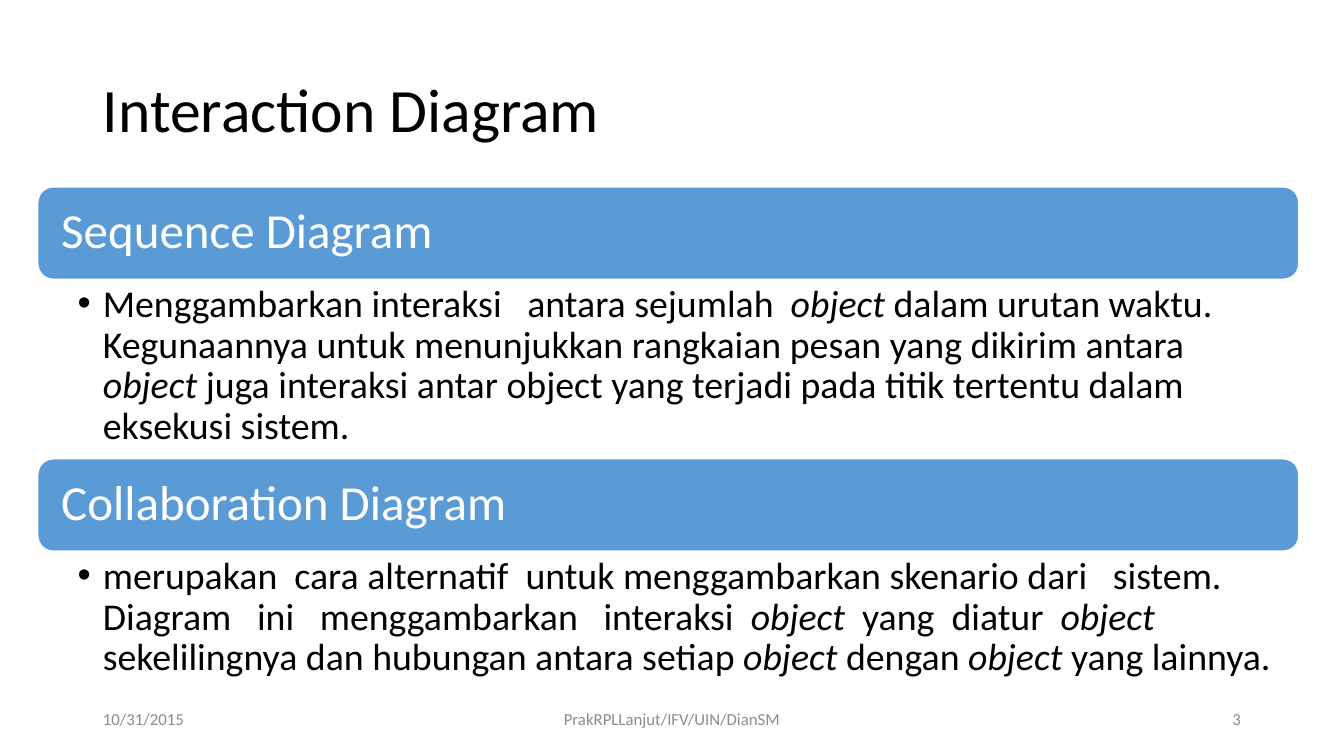
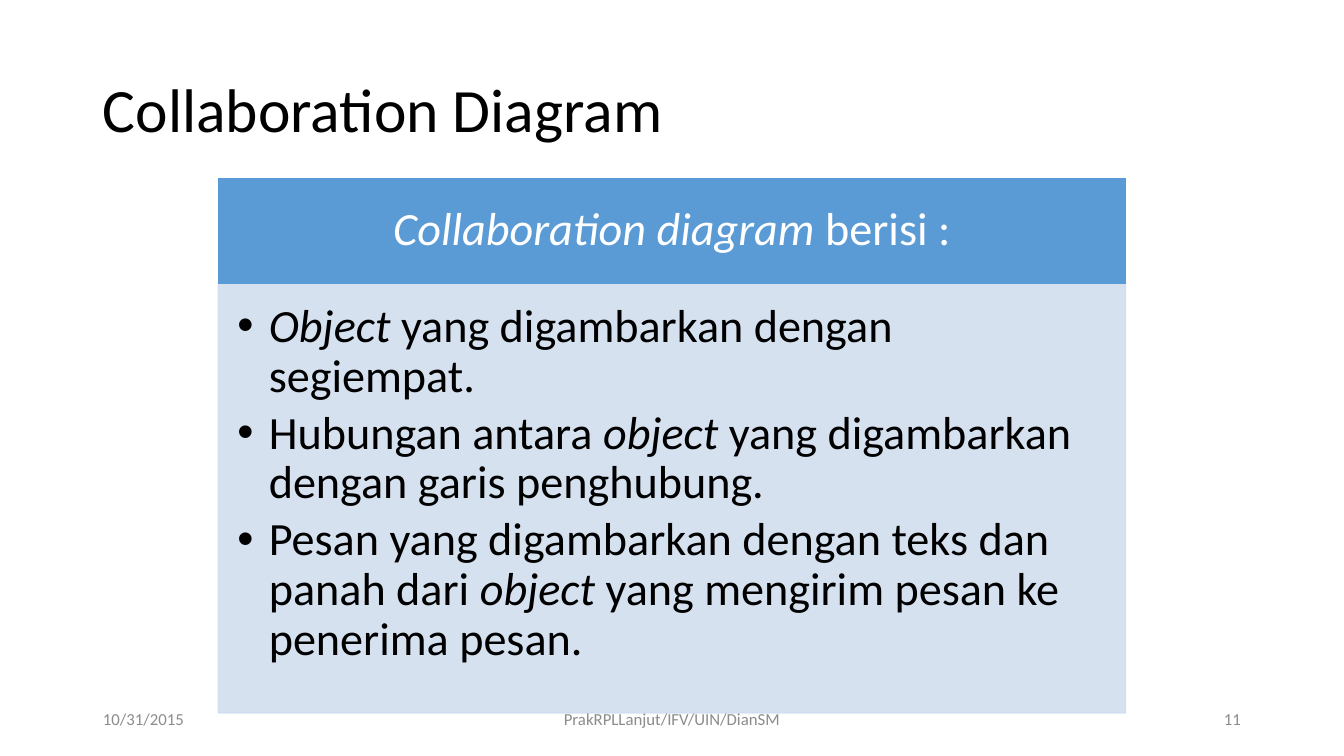
from dataclasses import dataclass

from lxml.etree import SubElement
from pptx import Presentation
from pptx.dml.color import RGBColor
from pptx.enum.shapes import MSO_SHAPE as Preset
from pptx.enum.text import MSO_ANCHOR as Anchor, MSO_AUTO_SIZE as AutoSize, PP_ALIGN as Align
from pptx.oxml.ns import qn
from pptx.util import Emu, Pt

EMU_PER_PX = 9525
BOX_NAMES = ("left", "top", "width", "height")
MARGIN_NAMES = ("margin_left", "margin_top", "margin_right", "margin_bottom")


@dataclass(frozen=True)
class Theme:
    font: str = "Calibri"
    bullet_font: str = "Arial"
    ink: str = "000000"
    paper: str = "FFFFFF"
    accent: str = "5B9BD5"
    tint: str = "D2DEEF"
    muted: str = "8C8C8C"
    tint_opacity: int = 90
    title_size: int = 44
    band_size: int = 35
    detail_size: int = 27
    panel_size: int = 33
    footer_size: int = 12
    line_spacing: float = 0.9


THEME = Theme()

TITLE_BOX = (88, 38, 1104, 139)
TEXT_MARGINS = (10, 5, 10, 5)
FOOTER_TOP, FOOTER_HEIGHT = 667, 38
FOOTER_SLOTS = ((88, 288, Align.LEFT), (424, 432, Align.CENTER), (904, 288, Align.RIGHT))
FOOTER_DATE = "10/31/2015"
FOOTER_SOURCE = "PrakRPLLanjut/IFV/UIN/DianSM"

BAND_LEFT, BAND_TOP, BAND_WIDTH, BAND_HEIGHT = 36, 178, 1201, 88
PANEL_LEFT, PANEL_TOP, PANEL_WIDTH = 208, 170, 864
PANEL_HEADER_HEIGHT, PANEL_BODY_HEIGHT = 100, 409

INTERACTIONS = (
    (
        "Sequence Diagram",
        171,
        "Menggambarkan interaksi   antara sejumlah  *object *dalam urutan waktu. "
        "Kegunaannya untuk menunjukkan rangkaian pesan yang dikirim antara *object *"
        "juga interaksi antar object yang terjadi pada titik tertentu dalam eksekusi sistem.",
    ),
    (
        "Collaboration Diagram",
        130,
        "merupakan  cara alternatif  untuk menggambarkan skenario dari   sistem.   "
        "Diagram   ini   menggambarkan   interaksi  *object  *yang  diatur  *object *"
        "sekelilingnya dan hubungan antara setiap *object *dengan *object *yang lainnya.",
    ),
)
COLLABORATION_PARTS = (
    "*Object *yang digambarkan dengan segiempat.",
    "Hubungan antara *object *yang digambarkan dengan garis penghubung.",
    "Pesan yang digambarkan dengan teks dan panah dari *object *"
    "yang mengirim pesan ke penerima pesan.",
)


def px(length):
    return Emu(length * EMU_PER_PX)


def color(value):
    return RGBColor.from_string(value)


def apply(target, values):
    for name, value in values.items():
        setattr(target, name, value)


def place(shape, box):
    apply(shape, dict(zip(BOX_NAMES, map(px, box))))


def paint(shape, fill, line, opacity=100):
    shape.fill.solid()
    shape.fill.fore_color.rgb = color(fill)
    shape.line.color.rgb = color(line)
    shape.line.width = Pt(1)
    if opacity < 100:
        for tone in shape._element.spPr.iter(qn("a:srgbClr")):
            SubElement(tone, qn("a:alpha"), val=str(opacity * 1000))


def add_bullet(paragraph, indent):
    properties = paragraph._p.get_or_add_pPr()
    properties.set("marL", str(px(indent)))
    properties.set("indent", str(-px(indent)))
    SubElement(properties, qn("a:buFont"), typeface=THEME.bullet_font)
    SubElement(properties, qn("a:buChar"), char="•")


def write(shape, texts, size, ink=THEME.ink, align=Align.LEFT, anchor=Anchor.MIDDLE,
          margins=TEXT_MARGINS, indent=0, space_after=0):
    frame = shape.text_frame
    apply(frame, {
        "auto_size": AutoSize.NONE,
        "word_wrap": True,
        "vertical_anchor": anchor,
        **dict(zip(MARGIN_NAMES, map(px, margins))),
    })
    for index, text in enumerate(texts):
        paragraph = frame.add_paragraph() if index else frame.paragraphs[0]
        apply(paragraph, {
            "alignment": align,
            "line_spacing": THEME.line_spacing,
            "space_before": Pt(0),
            "space_after": Pt(space_after),
        })
        if indent:
            add_bullet(paragraph, indent)
        for position, piece in enumerate(text.split("*")):
            if piece:
                run = paragraph.add_run()
                run.text = piece
                italic = position % 2 == 1
                apply(run.font, {"name": THEME.font, "size": Pt(size), "italic": italic})
                run.font.color.rgb = color(ink)


def add_header(slide, preset, box, text, size, line, **text_format):
    header = slide.shapes.add_shape(preset, *map(px, box))
    header.shadow.inherit = False
    paint(header, THEME.accent, line)
    write(header, [text], size, THEME.paper, **text_format)


def fill_list(placeholder, box, texts, size, **text_format):
    place(placeholder, box)
    write(placeholder, texts, size, anchor=Anchor.TOP, **text_format)


def add_footer(slide, number):
    for text, (left, width, align) in zip((FOOTER_DATE, FOOTER_SOURCE, str(number)), FOOTER_SLOTS):
        box = (left, FOOTER_TOP, width, FOOTER_HEIGHT)
        footer = slide.shapes.add_textbox(*map(px, box))
        write(footer, [text], THEME.footer_size, THEME.muted, align)


def add_slide(presentation, layout, title, number):
    slide = presentation.slides.add_slide(presentation.slide_layouts.get_by_name(layout))
    place(slide.shapes.title, TITLE_BOX)
    write(slide.shapes.title, [title], THEME.title_size)
    add_footer(slide, number)
    return slide


def build_interaction_slide(presentation):
    slide = add_slide(presentation, "Two Content", "Interaction Diagram", 3)
    top = BAND_TOP
    for index, (name, detail_height, detail) in enumerate(INTERACTIONS, start=1):
        add_header(slide, Preset.ROUNDED_RECTANGLE, (BAND_LEFT, top, BAND_WIDTH, BAND_HEIGHT),
                   name, THEME.band_size, THEME.paper, margins=(18, 14, 18, 14))
        top += BAND_HEIGHT
        fill_list(slide.placeholders[index], (BAND_LEFT, top, BAND_WIDTH, detail_height),
                  [detail], THEME.detail_size, margins=(38, 5, 26, 5), indent=24)
        top += detail_height


def build_collaboration_slide(presentation):
    slide = add_slide(presentation, "Title and Content", "Collaboration Diagram", 11)
    add_header(slide, Preset.RECTANGLE,
               (PANEL_LEFT, PANEL_TOP, PANEL_WIDTH, PANEL_HEADER_HEIGHT),
               "*Collaboration diagram *berisi :", THEME.panel_size, THEME.accent,
               align=Align.CENTER, margins=(25, 14, 25, 14))
    body = slide.placeholders[1]
    body_top = PANEL_TOP + PANEL_HEADER_HEIGHT
    fill_list(body, (PANEL_LEFT, body_top, PANEL_WIDTH, PANEL_BODY_HEIGHT),
              COLLABORATION_PARTS, THEME.panel_size,
              margins=(18, 18, 25, 28), indent=30, space_after=5)
    paint(body, THEME.tint, THEME.tint, THEME.tint_opacity)


def main():
    presentation = Presentation()
    apply(presentation, {"slide_width": px(1280), "slide_height": px(720)})
    build_interaction_slide(presentation)
    build_collaboration_slide(presentation)
    presentation.save("out.pptx")


if __name__ == "__main__":
    main()
